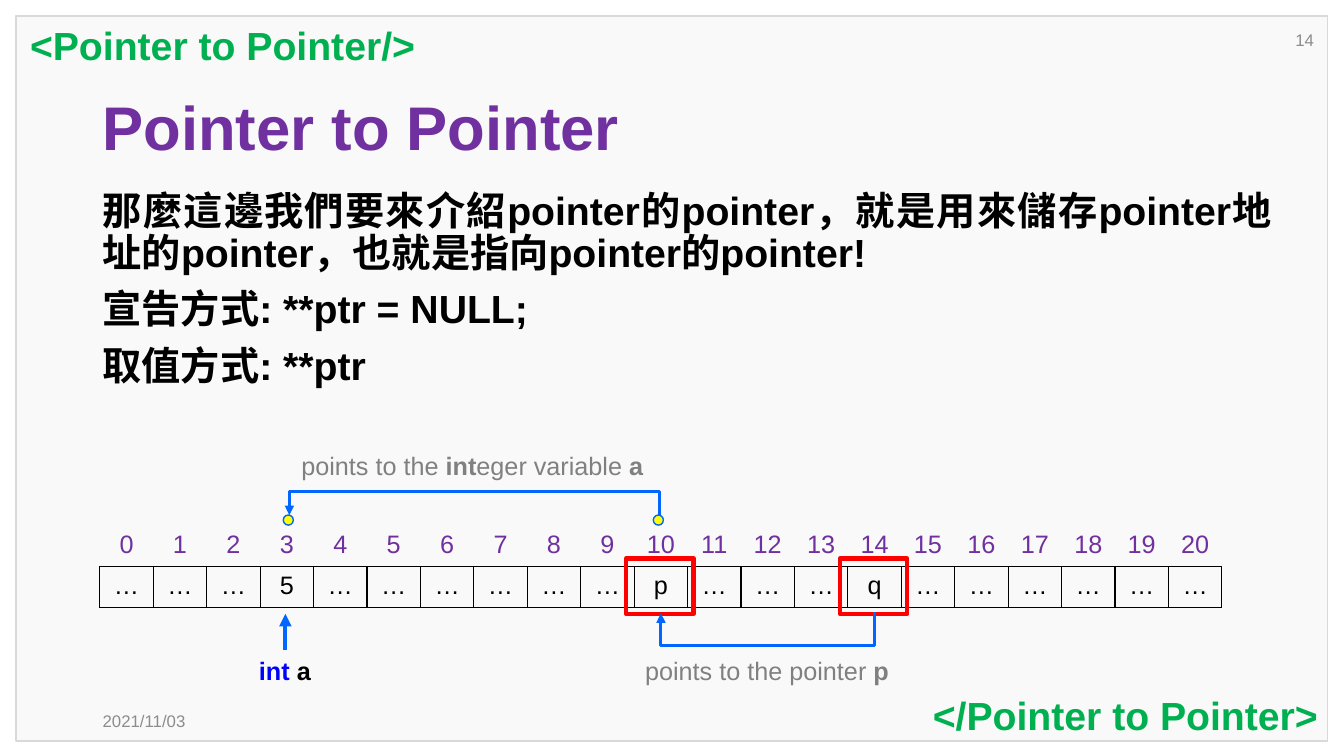
from dataclasses import dataclass

from lxml import etree
from pptx import Presentation
from pptx.dml.color import RGBColor
from pptx.enum import shapes, text
from pptx.oxml import parse_xml
from pptx.oxml.ns import nsdecls, qn
from pptx.util import Pt

EMU_PER_PX = 9144  # 100 px to the inch
FONT = "Arial"
BLACK, GRAY, PALE_GRAY = "000000", "808080", "8C8C8C"
PURPLE, GREEN, BLUE, KEYWORD_BLUE = "7030A0", "00B050", "0066FF", "0000FF"
RED, YELLOW = "FF0000", "FFFF00"
NO_TABLE_STYLE = "{2D5ABB26-0587-4C30-8999-92F81FD0307C}"
LEFT, CENTER, RIGHT, JUSTIFY = (
    text.PP_ALIGN.LEFT, text.PP_ALIGN.CENTER, text.PP_ALIGN.RIGHT, text.PP_ALIGN.JUSTIFY)
TOP, MIDDLE = text.MSO_ANCHOR.TOP, text.MSO_ANCHOR.MIDDLE

CELL_COUNT, CELL_WIDTH, CELL_HEIGHT = 21, 53, 41
MEMORY_LEFT, MEMORY_TOP = 99, 521
MEMORY_VALUES = {3: "5", 10: "p", 14: "q"}


@dataclass
class Run:
    text: str
    color: str
    bold: bool = False


@dataclass
class Label:
    box: tuple[int, int, int, int]
    size: int
    paragraphs: list[list[Run]]
    align: text.PP_ALIGN = LEFT
    anchor: text.MSO_ANCHOR = TOP
    wrap: bool = False
    line_spacing: float = 1.0
    space_before: int = 0


@dataclass
class Box:
    kind: shapes.MSO_SHAPE
    box: tuple[int, int, int, int]
    fill: str | None
    line: str
    line_width: float


@dataclass
class Link:
    """A bracket-shaped arrow; a negative depth bends upwards."""
    start_x: int
    end_x: int
    y: int
    depth: int


PANEL = Box(shapes.MSO_SHAPE.RECTANGLE, (16, 16, 1301, 719), "F9F9F9", "D9D9D9", 1)
DOTS = [Box(shapes.MSO_SHAPE.OVAL, (x, 511, 10, 10), YELLOW, BLUE, 1) for x in (648, 281)]
FRAMES = [Box(shapes.MSO_SHAPE.RECTANGLE, (x, 554, 67, 55), None, RED, 3) for x in (621, 833)]
LINKS = [Link(654, 287, 511, -25), Link(867, 655, 608, 33)]

INT_A = Label((247, 645, 72, 40), 18, [[Run("int", KEYWORD_BLUE, True), Run(" a", BLACK, True)]])
LABELS = [
    Label((92, 695, 106, 40), 12, [[Run("2021/11/03", PALE_GRAY)]], anchor=MIDDLE, wrap=True),
    Label((1271, 20, 42, 40), 12, [[Run("14", PALE_GRAY)]], RIGHT, MIDDLE, True),
    Label((92, 74, 1074, 111), 44, [[Run("Pointer to Pointer", PURPLE, True)]],
          anchor=MIDDLE, wrap=True, line_spacing=0.9),
    Label((20, 16, 407, 57), 28, [[Run("<Pointer to Pointer/>", GREEN, True)]]),
    Label((900, 681, 417, 57), 28, [[Run("</Pointer to Pointer>", GREEN, True)]], RIGHT),
    Label((92, 185, 1179, 233), 28, [
        [Run("那麼這邊我們要來介紹pointer的pointer，就是用來儲存pointer"
             "地址的pointer，也就是指向pointer的pointer!", BLACK, True)],
        [Run("宣告方式: **ptr = NULL;", BLACK, True)],
        [Run("取值方式: **ptr", BLACK, True)],
    ], JUSTIFY, wrap=True, line_spacing=0.9, space_before=10),
    Label((289, 442, 362, 40), 18, [[
        Run("points to the ", GRAY), Run("int", GRAY, True),
        Run("eger variable ", GRAY), Run("a", GRAY, True)]]),
    Label((630, 645, 263, 40), 18, [[Run("points to the pointer ", GRAY), Run("p", GRAY, True)]]),
]


def px(*lengths: int) -> list[int]:
    return [length * EMU_PER_PX for length in lengths]


def rgb(value: str) -> RGBColor:
    return RGBColor.from_string(value)


def add_run(paragraph, run: Run, size: int) -> None:
    part = paragraph.add_run()
    part.text = run.text
    part.font.name = FONT
    part.font.size = Pt(size)
    part.font.bold = run.bold
    part.font.color.rgb = rgb(run.color)


def add_label(slide, label: Label):
    shape = slide.shapes.add_textbox(*px(*label.box))
    frame = shape.text_frame
    frame.word_wrap = label.wrap
    frame.vertical_anchor = label.anchor
    if not label.wrap:
        frame.auto_size = text.MSO_AUTO_SIZE.SHAPE_TO_FIT_TEXT
    for index, runs in enumerate(label.paragraphs):
        paragraph = frame.add_paragraph() if index else frame.paragraphs[0]
        paragraph.alignment = label.align
        paragraph.line_spacing = label.line_spacing
        paragraph.space_before = Pt(label.space_before)
        for run in runs:
            add_run(paragraph, run, label.size)
    return shape


def add_box(slide, box: Box) -> None:
    shape = slide.shapes.add_shape(box.kind, *px(*box.box))
    shape.shadow.inherit = False
    if box.fill:
        shape.fill.solid()
        shape.fill.fore_color.rgb = rgb(box.fill)
    else:
        shape.fill.background()
    shape.line.color.rgb = rgb(box.line)
    shape.line.width = Pt(box.line_width)


def add_arrow(slide, kind: shapes.MSO_CONNECTOR, ends: tuple[int, int, int, int], width: float):
    arrow = slide.shapes.add_connector(kind, *px(*ends))
    arrow.line.color.rgb = rgb(BLUE)
    arrow.line.width = Pt(width)
    etree.SubElement(arrow.line._get_or_add_ln(), qn("a:tailEnd"), type="triangle")
    etree.SubElement(arrow._element.spPr, qn("a:effectLst"))
    return arrow


def add_link(slide, link: Link) -> None:
    """Turn a one-px-wide elbow on its side, so that its bend in px is its adjustment."""
    span = link.start_x - link.end_x
    left = (link.start_x + link.end_x) // 2
    top, bottom = link.y - span // 2, link.y - span // 2 + span
    upwards = link.depth < 0
    ends = (left, bottom, left + 1, top) if upwards else (left, top, left + 1, bottom)
    arrow = add_arrow(slide, shapes.MSO_CONNECTOR.ELBOW, ends, 2.25)
    properties = arrow._element.spPr
    properties.find(qn("a:xfrm")).set("rot", str((270 if upwards else 90) * 60000))
    adjustments = properties.find(qn("a:prstGeom")).get_or_add_avLst()
    etree.SubElement(adjustments, qn("a:gd"), name="adj1", fmla=f"val {abs(link.depth) * 100000}")


def add_borders(cell) -> None:
    properties = cell._tc.get_or_add_tcPr()
    for index, side in enumerate("LRTB"):
        properties.insert(index, parse_xml(
            f'<a:ln{side} {nsdecls("a")} w="{Pt(1)}"><a:solidFill>'
            f'<a:srgbClr val="{BLACK}"/></a:solidFill></a:ln{side}>'))


def add_memory(slide) -> None:
    """Addresses in the upper row, bordered memory cells in the lower one."""
    table = slide.shapes.add_table(2, CELL_COUNT, *px(
        MEMORY_LEFT, MEMORY_TOP, CELL_COUNT * CELL_WIDTH, 2 * CELL_HEIGHT)).table
    table.first_row = table.horz_banding = False
    table._tbl.tblPr.find(qn("a:tableStyleId")).text = NO_TABLE_STYLE
    for address in range(CELL_COUNT):
        column = [Run(str(address), PURPLE), Run(MEMORY_VALUES.get(address, "…"), BLACK)]
        for row, run in enumerate(column):
            cell = table.cell(row, address)
            cell.fill.background()
            paragraph = cell.text_frame.paragraphs[0]
            paragraph.alignment = CENTER
            add_run(paragraph, run, 18)
        add_borders(table.cell(1, address))


def main() -> None:
    presentation = Presentation()
    presentation.slide_width, presentation.slide_height = px(1333, 750)
    slide = presentation.slides.add_slide(presentation.slide_layouts[6])
    add_box(slide, PANEL)
    for label in LABELS:
        add_label(slide, label)
    add_memory(slide)
    int_a = add_label(slide, INT_A)
    arrow = add_arrow(slide, shapes.MSO_CONNECTOR.STRAIGHT, (283, 645, 283, 609), 3)
    arrow.begin_connect(int_a, 0)
    for box in DOTS + FRAMES:
        add_box(slide, box)
    for link in LINKS:
        add_link(slide, link)
    presentation.save("out.pptx")


if __name__ == "__main__":
    main()
